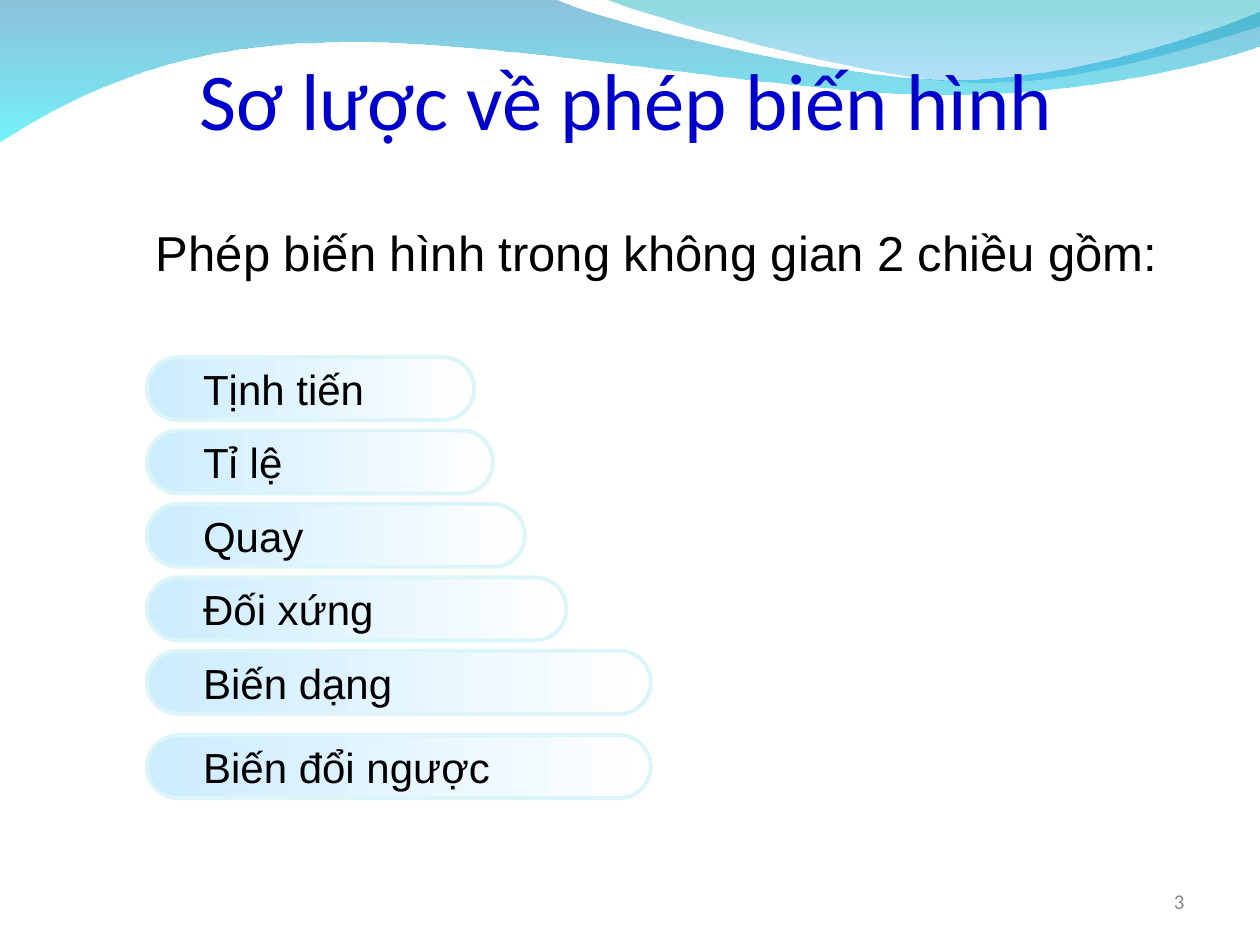
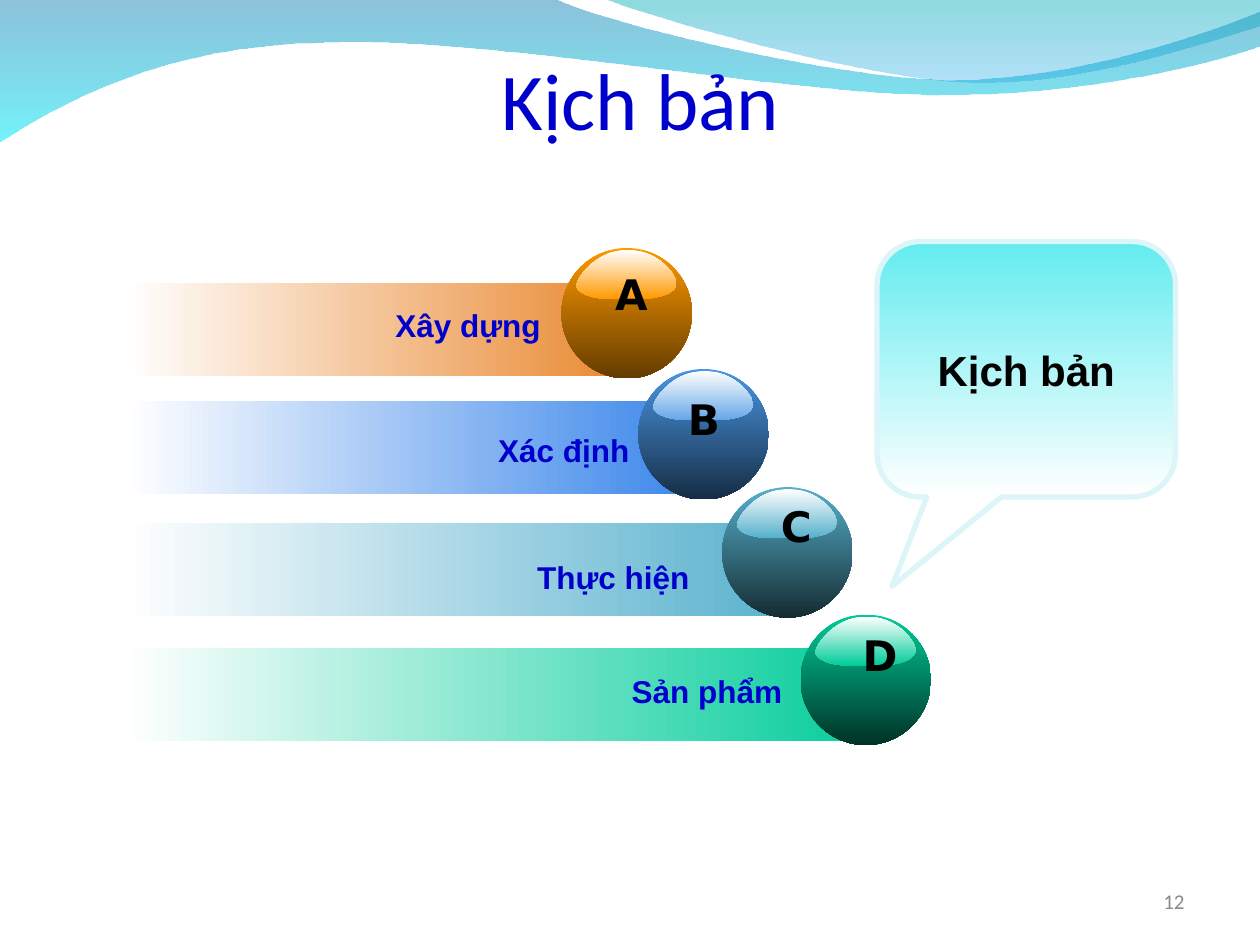
"""Builds two slides: a list of 2D transformations and a four-step scenario."""
from lxml.etree import SubElement
from pptx import Presentation
from pptx.dml.color import RGBColor
from pptx.enum.shapes import MSO_SHAPE as Form
from pptx.enum.text import MSO_ANCHOR as Anchor, MSO_AUTO_SIZE as AutoSize, PP_ALIGN as Align
from pptx.oxml.ns import qn
from pptx.util import Cm, Pt

COLORS = {
    "title": "0000CC", "text": "000000", "number": "898989", "white": "FFFFFF",
    "wave_blue": "0079AF", "wave_cyan": "00EBF8",
    "wave_teal": "00ADB6", "wave_sky": "009BE5",
    "pill": "CCECFF", "edge": "DBF5F9", "callout": "63ECEF",
    "orange_bar": "E98931", "orange": "FF9900", "orange_dark": "643C00", "orange_gloss": "FF9900",
    "blue_bar": "418AEB", "blue": "4996E3", "blue_dark": "162D45", "blue_gloss": "66A7E8",
    "aqua_bar": "56B0CC", "aqua": "56B0CC", "aqua_dark": "152B32", "aqua_gloss": "56B0CC",
    "green_bar": "00CC99", "green": "00CC99", "green_dark": "003225", "green_gloss": "00CC99",
}
RIGHTWARD, DOWNWARD = 0, 270
TITLE_ONLY = 5

WIDE_WAVE = [
    (0, -0.03), (11.18, -0.03),
    (12.09, 0.43, 16.87, 1.6, 19.25, 1.6), (21.67, 1.6, 24.33, 0.66, 25.4, 0.23),
    (25.43, 0.91),
    (24.97, 1.12, 22.1, 1.93, 18.95, 1.91), (15.8, 1.91, 9.7, 0.71, 6.53, 0.86),
    (3.28, 0.89, 1.17, 2.11, -0.03, 2.87),
]
RIGHT_WAVE = [
    (12.17, -0.03), (12.93, 0.28, 17.32, 1.57, 19.53, 1.65),
    (21.74, 1.75, 24.41, 0.81, 25.4, 0.53), (25.4, 0),
]
GLOSS = [
    (0, 0.72), (0.02, 0.5, 0.22, 0, 0.51, 0), (0.8, 0, 0.98, 0.45, 1, 0.67),
    (1, 0.9, 0.8, 1, 0.6, 1), (0.37, 1), (0.15, 1, 0, 0.88, 0, 0.72),
]

PILLS = [
    ("Tịnh tiến", 7.2, 6.6), ("Tỉ lệ", 8.68, 6.98), ("Quay", 10.16, 7.62),
    ("Đối xứng", 11.64, 8.46), ("Biến dạng", 13.12, 10.16), ("Biến đổi ngược", 14.82, 10.16),
]
BAR_LEFT, BAR_HEIGHT, BALL_SIZE = 2.54, 1.87, 2.63
STEPS = [
    dict(hue="orange", bar=(5.71, 10.11), ball=(11.32, 5), letter=("A", 12.73, 5.28),
         label=("Xây dựng", 11.15, 6.03)),
    dict(hue="blue", bar=(8.09, 11.18), ball=(12.87, 7.44), letter=("B", 14.19, 7.8),
         label=("Xác định", 12.94, 8.56)),
    dict(hue="aqua", bar=(10.54, 13.61), ball=(14.56, 9.82), letter=("C", 16.05, 9.96),
         label=("Thực hiện", 14.15, 11.11)),
    dict(hue="green", bar=(13.06, 15.32), ball=(16.14, 12.39), letter=("D", 17.74, 12.57),
         label=("Sản phẩm", 16.02, 13.42)),
]


def color(name):
    return RGBColor.from_string(COLORS[name])


def write_text(box, text, size=24, font="Arial", fill="text", bold=False,
               align=Align.LEFT, anchor=Anchor.MIDDLE, margins=(0.25, 0.13, 0.25, 0.13)):
    frame = box.text_frame
    frame.auto_size = AutoSize.NONE
    frame.word_wrap = True
    frame.vertical_anchor = anchor
    frame.margin_left, frame.margin_top, frame.margin_right, frame.margin_bottom = map(Cm, margins)
    para = frame.paragraphs[0]
    para.alignment = align
    span = para.add_run()
    span.text = text
    span.font.size, span.font.name, span.font.bold = Pt(size), font, bold
    span.font.color.rgb = color(fill)


def add_text(page, text, left, top, width, height, **style):
    box = page.shapes.add_textbox(Cm(left), Cm(top), Cm(width), Cm(height))
    write_text(box, text, **style)


def paint(shape, start, end, angle, opacities=(), edge=None, weight=0):
    shape.shadow.inherit = False
    shape.fill.gradient()
    shape.fill.gradient_angle = angle
    for stop, name, position in zip(shape.fill.gradient_stops, (start, end), (0, 1)):
        stop.color.rgb = color(name)
        stop.position = position
    for tint, opacity in zip(shape.element.iter(qn("a:srgbClr")), opacities):
        SubElement(tint, qn("a:alpha")).set("val", str(opacity * 1000))
    if edge:
        shape.line.color.rgb = color(edge)
        shape.line.width = Pt(weight)
    else:
        shape.line.fill.background()


def add_form(page, form, left, top, width, height, *gradient, adjust=(), **style):
    shape = page.shapes.add_shape(form, Cm(left), Cm(top), Cm(width), Cm(height))
    for index, value in enumerate(adjust):
        shape.adjustments[index] = value
    paint(shape, *gradient, **style)
    return shape


def bend(segment, knots, shape):
    segment.tag = qn("a:cubicBezTo")
    for point in list(segment):
        segment.remove(point)
    for x, y in knots:
        point = SubElement(segment, qn("a:pt"))
        point.set("x", str(x - shape.left))
        point.set("y", str(y - shape.top))


def add_outline(page, outline, *gradient, left=0, top=0, width=1, height=1, **style):
    steps = [[(Cm(left + x * width), Cm(top + y * height))
              for x, y in zip(step[::2], step[1::2])] for step in outline]
    builder = page.shapes.build_freeform(*steps[0][-1])
    builder.add_line_segments([step[-1] for step in steps[1:]], close=True)
    shape = builder.convert_to_shape()
    segments = list(shape.element.iter(qn("a:lnTo")))
    for segment, step in zip(segments, steps[1:]):
        if len(step) == 3:
            bend(segment, step, shape)
    paint(shape, *gradient, **style)
    return shape


def move_waves_to_layout(deck, page):
    waves = [
        add_outline(page, WIDE_WAVE, "wave_blue", "wave_cyan", DOWNWARD, opacities=(45, 55)),
        add_outline(page, RIGHT_WAVE, "wave_teal", "wave_sky", DOWNWARD, opacities=(45, 30)),
    ]
    first = deck.slide_layouts[TITLE_ONLY].shapes[0].element
    for number, wave in enumerate(waves, 101):
        next(wave.element.iter(qn("p:cNvPr"))).set("id", str(number))
        first.addprevious(wave.element)


def add_page(deck, title, number, align):
    page = deck.slides.add_slide(deck.slide_layouts[TITLE_ONLY])
    heading = page.shapes.title
    heading.left, heading.top, heading.width, heading.height = map(Cm, (4.02, 1.25, 17.78, 1.7))
    write_text(heading, title, size=46, font="Calibri", fill="title", align=align,
               anchor=Anchor.BOTTOM, margins=(0, 0.13, 0, 0))
    add_text(page, number, 18.21, 17.65, 5.92, 1.02, size=12, font="Calibri",
             fill="number", align=Align.RIGHT)
    return page


def add_pill(page, text, top, width):
    pill = add_form(page, Form.ROUNDED_RECTANGLE, 2.96, top, width, 1.27,
                    "pill", "white", RIGHTWARD, adjust=(0.5,), edge="edge", weight=2.25)
    write_text(pill, text, margins=(0.95, 0.13, 0.25, 0.13))


def add_step(page, hue, bar, ball, letter, label):
    bar_top, bar_width = bar
    add_form(page, Form.RECTANGLE, BAR_LEFT, bar_top, bar_width, BAR_HEIGHT,
             "white", f"{hue}_bar", RIGHTWARD)
    left, top = ball
    add_form(page, Form.OVAL, left, top, BALL_SIZE, BALL_SIZE, hue, f"{hue}_dark", DOWNWARD)
    add_outline(page, GLOSS, "white", f"{hue}_gloss", DOWNWARD,
                left=left + 0.3, top=top + 0.04, width=2.02, height=0.99)
    sign, center, sign_top = letter
    add_text(page, sign, center - 0.8, sign_top, 1.6, 1.27, font="DejaVu Sans", bold=True,
             align=Align.CENTER, anchor=Anchor.TOP)
    text, right, text_top = label
    add_text(page, text, right - 7, text_top, 7, 1.02, size=18, fill="title", bold=True,
             align=Align.RIGHT, anchor=Anchor.TOP)


def build_transformations(deck):
    page = add_page(deck, "Sơ lược về phép biến hình", "3", Align.LEFT)
    move_waves_to_layout(deck, page)
    for pill in PILLS:
        add_pill(page, *pill)
    add_text(page, "Phép biến hình trong không gian 2 chiều gồm:", 2.54, 4.22, 21.39, 1.7,
             size=28, align=Align.CENTER)


def build_scenario(deck):
    page = add_page(deck, "Kịch bản", "12", Align.CENTER)
    for step in STEPS:
        add_step(page, **step)
    callout = add_form(page, Form.ROUNDED_RECTANGULAR_CALLOUT, 17.68, 4.87, 6.02, 5.15,
                       "callout", "white", DOWNWARD, adjust=(-0.45, 0.85, 0.17),
                       edge="edge", weight=3)
    write_text(callout, "Kịch bản", bold=True, align=Align.CENTER)


def main():
    deck = Presentation()
    deck.slide_width, deck.slide_height = Cm(25.4), Cm(19.05)
    build_transformations(deck)
    build_scenario(deck)
    deck.save("out.pptx")


if __name__ == "__main__":
    main()
